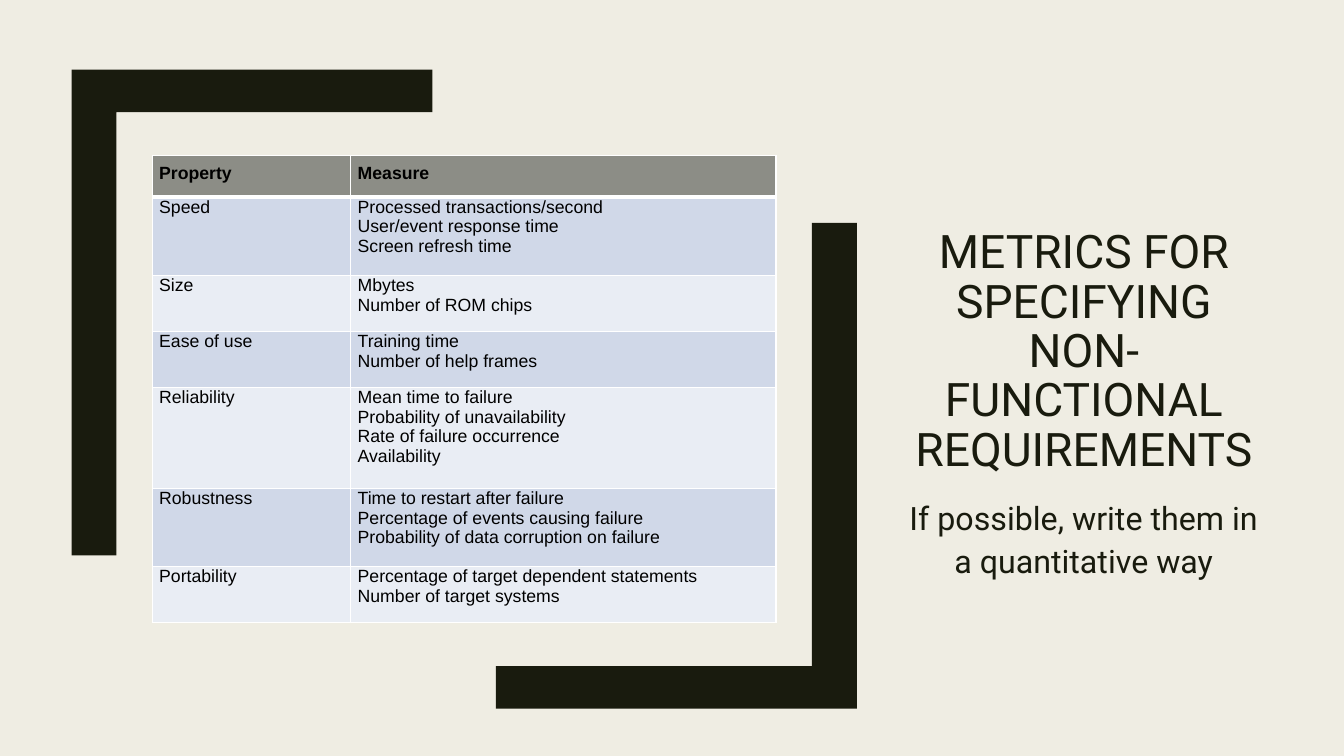
from pptx import Presentation
from pptx.dml.color import RGBColor
from pptx.enum.text import MSO_ANCHOR as Anchor, MSO_AUTO_SIZE as AutoSize, PP_ALIGN as Align
from pptx.oxml.ns import qn
from pptx.util import Pt
from lxml.etree import SubElement

COLOURS = {
    "paper": "EFEDE3", "ink": "191B0E", "text": "000000", "border": "FFFFFF",
    "header": "8C8D86", "odd": "D0D8E8", "even": "E9EDF4",
}
METRICS = [
    ("Speed", ["Processed transactions/second", "User/event response time", "Screen refresh time"]),
    ("Size", ["Mbytes", "Number of ROM chips"]),
    ("Ease of use", ["Training time", "Number of help frames"]),
    ("Reliability", ["Mean time to failure", "Probability of unavailability",
                     "Rate of failure occurrence", "Availability"]),
    ("Robustness", ["Time to restart after failure", "Percentage of events causing failure",
                    "Probability of data corruption on failure"]),
    ("Portability", ["Percentage of target dependent statements", "Number of target systems"]),
]


def colour(name):
    return RGBColor.from_string(COLOURS[name])


def set_font(para, name, size, ink, bold=False):
    font = para.font
    font.name, font.size, font.bold = name, Pt(size), bold
    font.color.rgb = colour(ink)


def add_bracket(page, corner_x, corner_y, direction):
    """L-shaped bracket growing from its corner; direction is 1 or -1."""
    width, height, upright, bar = 257.8, 347, 32, 30.4
    outline = [(0, 0), (width, 0), (width, bar), (upright, bar), (upright, height), (0, height)]
    points = [(Pt(corner_x + direction * x), Pt(corner_y + direction * y)) for x, y in outline]
    builder = page.shapes.build_freeform(*points[0])
    builder.add_line_segments(points[1:], close=True)
    bracket = builder.convert_to_shape()
    bracket.shadow.inherit = False
    bracket.fill.solid()
    bracket.fill.fore_color.rgb = colour("ink")
    bracket.line.fill.background()


def fill_placeholder(box, text, place, size, spacing, anchor):
    box.left, box.top, box.width, box.height = (Pt(value) for value in place)
    frame = box.text_frame
    frame.text = text
    frame.word_wrap, frame.auto_size = True, AutoSize.NONE
    frame.vertical_anchor = anchor
    para = frame.paragraphs[0]
    para.alignment, para.line_spacing = Align.CENTER, spacing
    para.space_before = Pt(0)
    return para


def add_caption(page, left, top, width):
    """Title above, comment below."""
    title = fill_placeholder(page.shapes.title, "METRICS FOR SPECIFYING NON-FUNCTIONAL REQUIREMENTS",
                             (left, top, width, 294), 33, 0.89, Anchor.BOTTOM)
    set_font(title, "Roboto", 33, "ink")
    comment = fill_placeholder(page.placeholders[1], "If possible, write them in a quantitative way",
                               (left, top + 299.5, width, 141), 23, 1.12, Anchor.TOP)
    comment.space_after = Pt(6)
    properties = comment._p.get_or_add_pPr()
    properties.set("marL", "0")
    properties.set("indent", "0")
    SubElement(properties, qn("a:buNone"))
    set_font(comment, "Roboto", 23, "ink")


def add_borders(cell, top, bottom):
    properties = cell._tc.get_or_add_tcPr()
    for side, weight in (("L", 1), ("R", 1), ("T", top), ("B", bottom)):
        line = SubElement(properties, qn(f"a:ln{side}"), w=str(Pt(weight)))
        paint = SubElement(line, qn("a:solidFill"))
        SubElement(paint, qn("a:srgbClr"), val=COLOURS["border"])


def add_metrics_table(page, left, top):
    rows = [("Property", ["Measure"])] + METRICS
    heights = [30] + [16 * len(measures) + 8 for _, measures in METRICS]
    widths = [141.8, 303.8]
    table = page.shapes.add_table(len(rows), 2, Pt(left), Pt(top),
                                  Pt(sum(widths)), Pt(sum(heights))).table
    for column, width in zip(table.columns, widths):
        column.width = Pt(width)
    for index, (name, measures) in enumerate(rows):
        table.rows[index].height = Pt(heights[index])
        is_header = index == 0
        band = "header" if is_header else ("even", "odd")[index % 2]
        for cell, lines in zip(table.rows[index].cells, ([name], measures)):
            add_borders(cell, 3 if index == 1 else 1, 3 if is_header else 1)
            cell.fill.solid()
            cell.fill.fore_color.rgb = colour(band)
            cell.margin_left = cell.margin_right = Pt(5)
            cell.margin_top = Pt(5.8 if is_header else 0)
            cell.margin_bottom = Pt(5.8)
            cell.text = "\n".join(lines)
            for para in cell.text_frame.paragraphs:
                para.alignment = Align.JUSTIFY
                set_font(para, "Arial", 12.6, "text", is_header)


def main():
    deck = Presentation()
    deck.slide_width, deck.slide_height = Pt(960), Pt(540)
    page = deck.slides.add_slide(deck.slide_layouts[1])
    page.background.fill.solid()
    page.background.fill.fore_color.rgb = colour("paper")

    # Caption on the right
    add_caption(page, 642.2, 49.7, 264.2)
    # Brackets around the table
    add_bracket(page, 51.1, 49.7, 1)
    add_bracket(page, 612, 506.2, -1)
    # Table of metrics
    add_metrics_table(page, 108.7, 110.9)

    deck.save("out.pptx")


if __name__ == "__main__":
    main()
